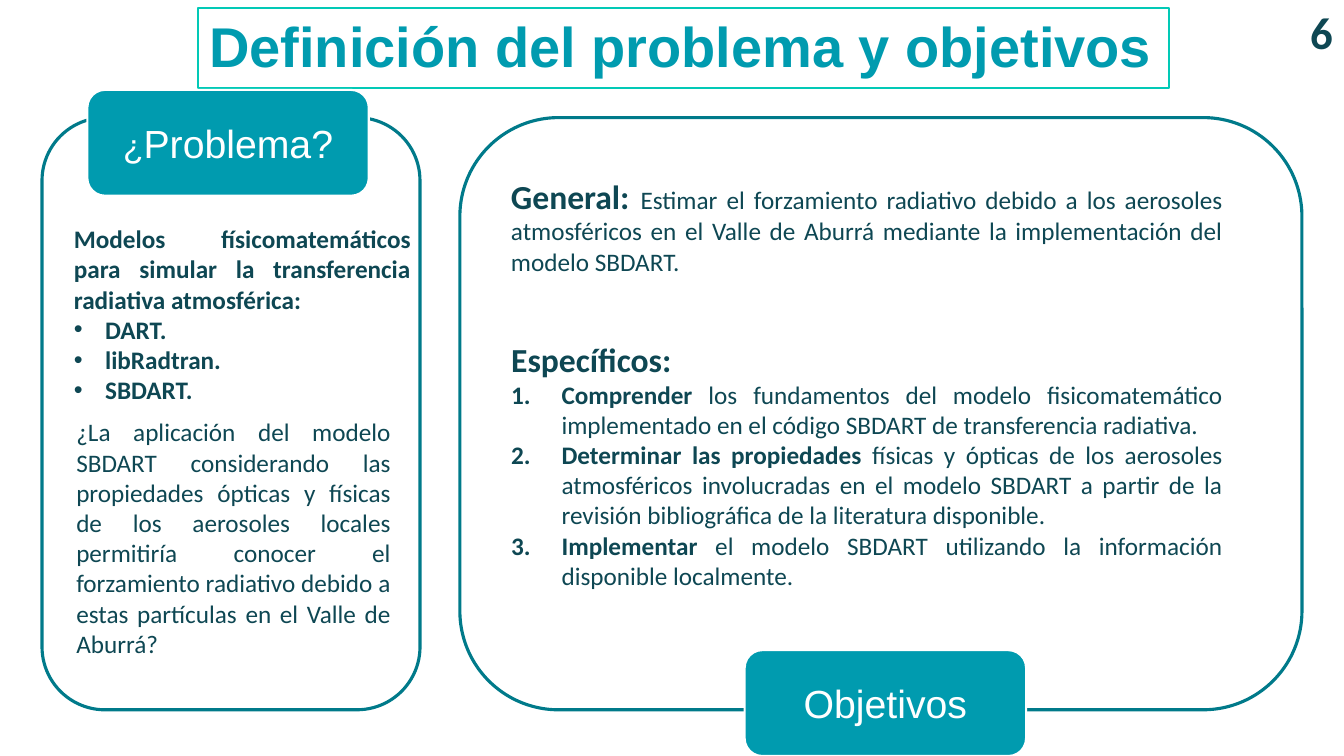
from lxml import etree
from pptx import Presentation, util as u
from pptx.dml.color import RGBColor
from pptx.enum import shapes, text
from pptx.oxml.ns import qn

HUES = {"teal": "009BAF", "mint": "02C9B6", "edge": "007A8A",
        "ink": "0E4753", "white": "FFFFFF"}
WIDE, HIGH = u.Inches(13.33), u.Inches(7.5)
COLS, ROWS = 160, 90
TAB = 33.5, 12.6


def hue(name):
    return RGBColor.from_string(HUES[name])


def span(x, y, w, h):
    """Turn a box in grid columns and rows into slide lengths."""
    return (int(x * WIDE / COLS), int(y * HIGH / ROWS),
            int(w * WIDE / COLS), int(h * HIGH / ROWS))


def inset(box, x, y, w, h):
    return box[0] + x, box[1] + y, w, h


def place(item, box):
    item.left, item.top, item.width, item.height = span(*box)


def draw(slide, kind, box, line, width, fill=None):
    shape = slide.shapes.add_shape(kind, *span(*box))
    shape.shadow.inherit = False
    shape.line.color.rgb = hue(line)
    shape.line.width = u.Pt(width)
    if fill:
        shape.fill.solid()
        shape.fill.fore_color.rgb = hue(fill)
    else:
        shape.fill.background()
    return shape


def add_runs(para, runs, color="ink", font="Calibri"):
    """Add (words, size, bold) runs to a paragraph."""
    for words, size, bold in runs:
        run = para.add_run()
        run.text = words
        run.font.name = font
        run.font.size = u.Pt(size)
        run.font.bold = bold
        run.font.color.rgb = hue(color)


def set_mark(para, mark, indent):
    """Give a paragraph a hanging bullet, a number or no mark."""
    props = para._p.get_or_add_pPr()
    props.set("marL", str(u.Inches(indent)))
    props.set("indent", str(-u.Inches(indent)))
    if mark == "bullet":
        etree.SubElement(props, qn("a:buFont"), typeface="Arial")
        etree.SubElement(props, qn("a:buChar"), char="•")
    elif mark == "number":
        etree.SubElement(props, qn("a:buAutoNum"), type="arabicPeriod")
    else:
        etree.SubElement(props, qn("a:buNone"))


def write(item, paras, mark=None, indent=0):
    """Fill a box with justified paragraphs; all but the first get the mark."""
    frame = item.text_frame
    frame.word_wrap = True
    frame.auto_size = text.MSO_AUTO_SIZE.NONE
    for i, runs in enumerate(paras):
        para = frame.add_paragraph() if i else frame.paragraphs[0]
        para.alignment = text.PP_ALIGN.JUSTIFY
        para.space_before = u.Pt(0)
        set_mark(para, mark if i else None, indent if i else 0)
        add_runs(para, runs)


def add_text(slide, box, paras):
    write(slide.shapes.add_textbox(*span(*box)), paras)


def add_list(slot, box, paras, mark, indent):
    place(slot, box)
    write(slot, paras, mark, indent)


def add_panel(slide, box, tab, label):
    """Draw a rounded panel with a label tab at an offset from its corner."""
    kind = shapes.MSO_SHAPE.ROUNDED_RECTANGLE
    draw(slide, kind, box, "edge", 2.25)
    badge = draw(slide, kind, inset(box, *tab, *TAB), "white", 1.5, "teal")
    badge.text_frame.vertical_anchor = text.MSO_ANCHOR.MIDDLE
    para = badge.text_frame.paragraphs[0]
    para.alignment = text.PP_ALIGN.CENTER
    add_runs(para, label, "white", "Arial")


def add_head(slide, box):
    draw(slide, shapes.MSO_SHAPE.RECTANGLE, box, "mint", 1.75)
    title = slide.shapes.title
    place(title, inset(box, -4.3, 1.94, 123.4, 7))
    frame = title.text_frame
    frame.word_wrap = True
    frame.auto_size = text.MSO_AUTO_SIZE.NONE
    frame.vertical_anchor = text.MSO_ANCHOR.MIDDLE
    para = frame.paragraphs[0]
    para.alignment = text.PP_ALIGN.CENTER
    para.line_spacing = 0.7
    add_runs(para, [("Definición del problema y objetivos", 40, True)],
             "teal", "Arial")


def add_page(slide, box):
    note = slide.shapes.add_textbox(*span(*box))
    note.text_frame.word_wrap = False
    add_runs(note.text_frame.paragraphs[0], [("6", 32, True)])


def add_problem(slide, box):
    add_panel(slide, box, (5.4, -3.3),
              [("¿", 24, False), ("Problema?", 28, False)])
    intro = ("Modelos físicomatemáticos para simular la transferencia "
             "radiativa atmosférica:")
    lines = [intro, "DART.", "libRadtran.", "SBDART."]
    add_list(slide.placeholders[1], inset(box, 2.6, 12, 42.5, 23),
             [[(line, 18, True)] for line in lines], "bullet", 0.31)
    query = ("¿La aplicación del modelo SBDART considerando las propiedades "
             "ópticas y físicas de los aerosoles locales permitiría conocer "
             "el forzamiento radiativo debido a estas partículas en el Valle "
             "de Aburrá?")
    add_text(slide, inset(box, 2.9, 35, 39.8, 30.4), [[(query, 18, False)]])


def add_goals(slide, box):
    add_panel(slide, box, (33.9, 63.4), [("Objetivos", 28, False)])
    aim = ("Estimar el forzamiento radiativo debido a los aerosoles "
           "atmosféricos en el Valle de Aburrá mediante la implementación "
           "del modelo SBDART.")
    add_text(slide, inset(box, 4.9, 6.3, 87.1, 18),
             [[("General: ", 24, True), (aim, 18, False)]])
    goals = [
        ("Comprender", " los fundamentos del modelo fisicomatemático "
         "implementado en el código SBDART de transferencia radiativa."),
        ("Determinar las propiedades", " físicas y ópticas de los aerosoles "
         "atmosféricos involucradas en el modelo SBDART a partir de la "
         "revisión bibliográfica de la literatura disponible."),
        ("Implementar", " el modelo SBDART utilizando la información "
         "disponible localmente."),
    ]
    paras = [[("Específicos:", 24, True)]]
    paras += [[(verb, 18, True), (rest, 18, False)] for verb, rest in goals]
    add_list(slide.placeholders[2], inset(box, 4.9, 25.7, 87.1, 36.4),
             paras, "number", 0.5)


def main():
    deck = Presentation()
    deck.slide_width, deck.slide_height = WIDE, HIGH
    slide = deck.slides.add_slide(deck.slide_layouts[3])
    add_head(slide, (23.6, 0.96, 115.6, 9.5))
    add_problem(slide, (5, 14, 45, 70.5))
    add_goals(slide, (54.75, 14, 100.25, 70.5))
    add_page(slide, (154.8, 0, 5.2, 7.7))
    deck.save("out.pptx")


if __name__ == "__main__":
    main()
